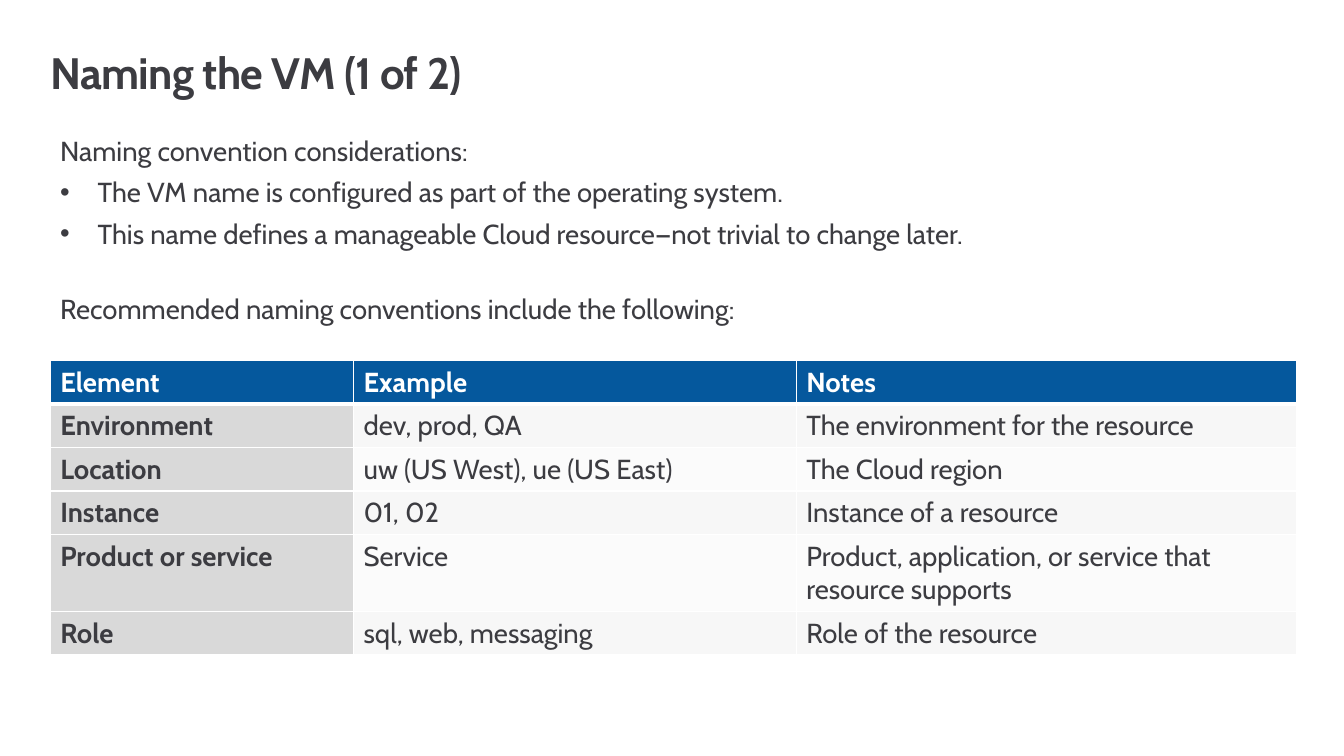
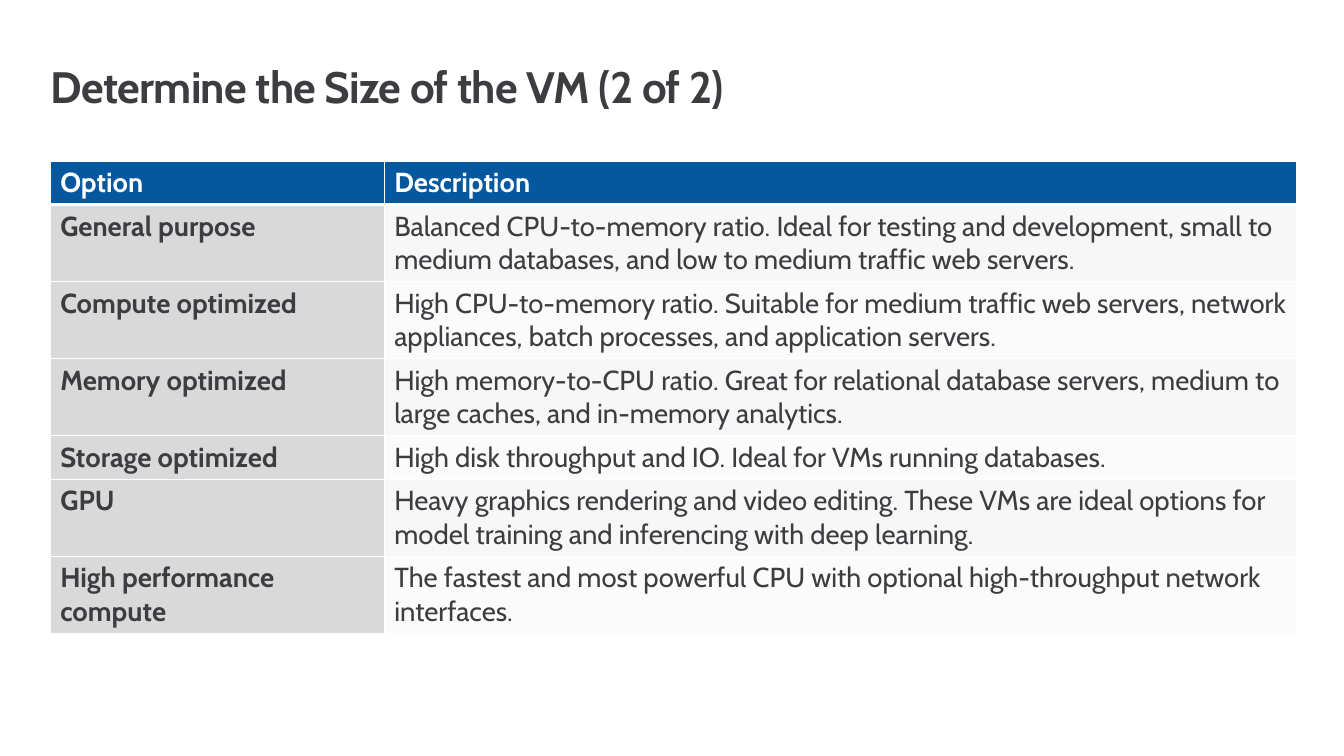
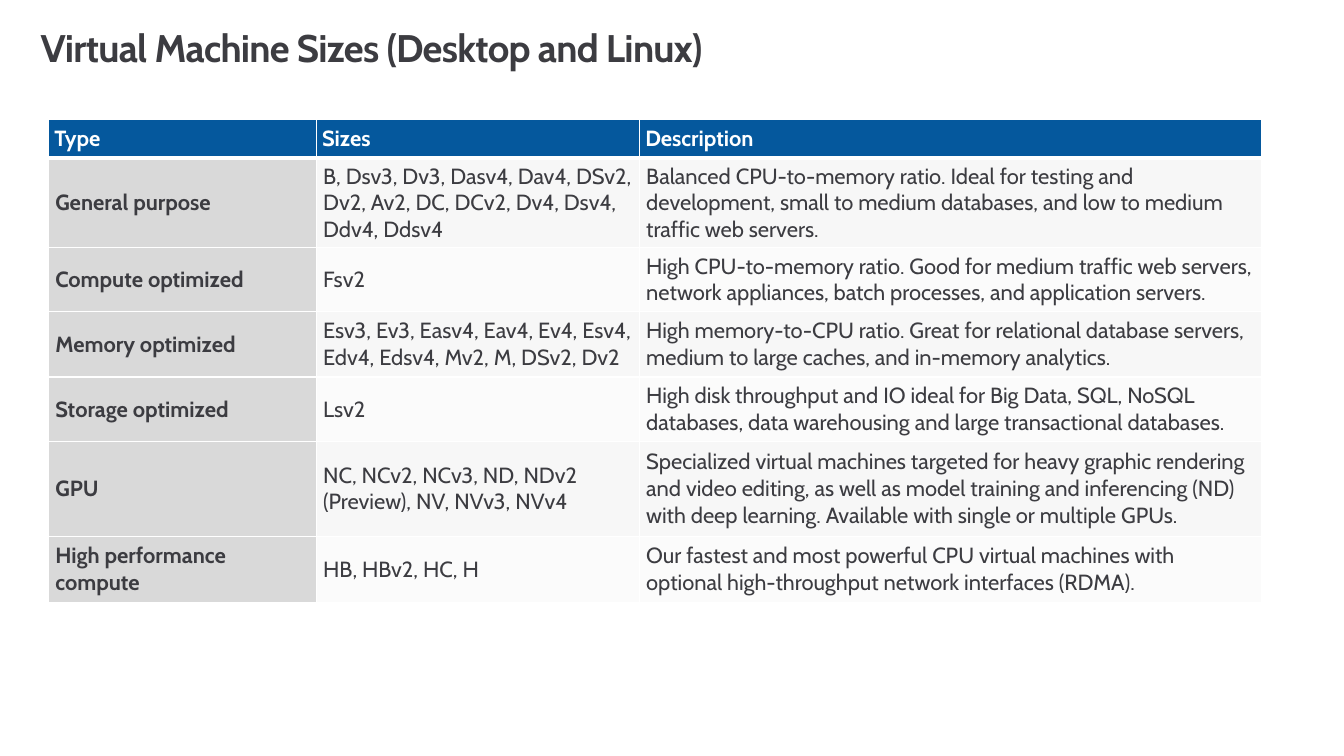
"""Build three slides on naming and sizing virtual machines."""
from dataclasses import dataclass

from lxml import etree
from pptx import Presentation, util as u
from pptx.dml.color import RGBColor
from pptx.enum import text
from pptx.oxml import ns


@dataclass(frozen=True)
class Theme:
    font: str = "Cabin"
    ink: str = "3C3C41"
    paper: str = "FFFFFF"
    header: str = "05589D"
    label: str = "D9D9D9"
    bands: tuple = ("F7F7F7", "FBFBFB")
    body_size: int = 20
    tracking: int = -50
    title_line: int = 32
    rule: int = 1
    header_rule: int = 3


THEME = Theme()
WIDTH, HEIGHT = 13.6, 7.65
MARGIN, CONTENT_WIDTH = 0.51, 12.61
ROOMY = dict(size=20, anchor=text.MSO_ANCHOR.TOP,
             header_inset=(0.1, 0.05), inset=(0.1, 0.05))
COMPACT = dict(size=16, anchor=text.MSO_ANCHOR.MIDDLE,
               header_inset=(0.06, 0.06), inset=(0.07, 0.05))
ONE_LINE, TWO_LINES = 0.44, 0.78

CONSIDERATIONS = [
    ("Naming convention considerations:", False),
    ("The VM name is configured as part of the operating system.", True),
    ("This name defines a manageable Cloud resource—not trivial to change later.", True),
    ("Recommended naming conventions include the following:", False),
]

SLIDES = [
    dict(
        title="Naming the VM (1 of 2)", title_at=(MARGIN, 0.55), title_size=32,
        intro=CONSIDERATIONS, table_at=(MARGIN, 3.65), style=ROOMY,
        columns=(3.07, 4.48, 5.06),
        heights=(ONE_LINE,) * 4 + (TWO_LINES, ONE_LINE),
        rows=[
            ("Element", "Example", "Notes"),
            ("Environment", "dev, prod, QA", "The environment for the resource"),
            ("Location", "uw (US West), ue (US East)", "The Cloud region"),
            ("Instance", "01, 02", "Instance of a resource"),
            ("Product or service", "Service",
             "Product, application, or service that resource supports"),
            ("Role", "sql, web, messaging", "Role of the resource"),
        ]),
    dict(
        title="Determine the Size of the VM (2 of 2)", title_at=(MARGIN, 0.69), title_size=32,
        intro=[], table_at=(MARGIN, 1.63), style=ROOMY,
        columns=(3.38, 9.23),
        heights=(ONE_LINE,) + (TWO_LINES,) * 3 + (ONE_LINE,) + (TWO_LINES,) * 2,
        rows=[
            ("Option", "Description"),
            ("General purpose",
             "Balanced CPU-to-memory ratio. Ideal for testing and development, small to "
             "medium databases, and low to medium traffic web servers."),
            ("Compute optimized",
             "High CPU-to-memory ratio. Suitable for medium traffic web servers, "
             "network appliances, batch processes, and application servers."),
            ("Memory optimized",
             "High memory-to-CPU ratio. Great for relational database servers, medium to "
             "large caches, and in-memory analytics."),
            ("Storage optimized",
             "High disk throughput and IO. Ideal for VMs running databases."),
            ("GPU",
             "Heavy graphics rendering and video editing. These VMs are ideal options for "
             "model training and inferencing with deep learning."),
            ("High performance compute",
             "The fastest and most powerful CPU with optional high-throughput network "
             "interfaces."),
        ]),
    dict(
        title="Virtual Machine Sizes (Desktop and Linux)", title_at=(0.41, 0.27), title_size=28,
        intro=[], table_at=(0.49, 1.21), style=COMPACT,
        columns=(2.71, 3.27, 6.3),
        heights=(0.39, 0.9, 0.65, 0.66, 0.65, 0.96, 0.67),
        rows=[
            ("Type", "Sizes", "Description"),
            ("General purpose",
             "B, Dsv3, Dv3, Dasv4, Dav4, DSv2, Dv2, Av2, DC, DCv2, Dv4, Dsv4, Ddv4, Ddsv4",
             "Balanced CPU-to-memory ratio. Ideal for testing and development, small to "
             "medium databases, and low to medium traffic web servers."),
            ("Compute optimized", "Fsv2",
             "High CPU-to-memory ratio. Good for medium traffic web servers, "
             "network appliances, batch processes, and application servers."),
            ("Memory optimized",
             "Esv3, Ev3, Easv4, Eav4, Ev4, Esv4, Edv4, Edsv4, Mv2, M, DSv2, Dv2",
             "High memory-to-CPU ratio. Great for relational database servers, "
             "medium to large caches, and in-memory analytics."),
            ("Storage optimized", "Lsv2",
             "High disk throughput and IO ideal for Big Data, SQL, NoSQL databases, "
             "data warehousing and large transactional databases."),
            ("GPU", "NC, NCv2, NCv3, ND, NDv2 (Preview), NV, NVv3, NVv4",
             "Specialized virtual machines targeted for heavy graphic rendering and video "
             "editing, as well as model training and inferencing (ND) with deep learning. "
             "Available with single or multiple GPUs."),
            ("High performance compute", "HB, HBv2, HC, H",
             "Our fastest and most powerful CPU virtual machines with optional "
             "high-throughput network interfaces (RDMA)."),
        ]),
]


def style_runs(paragraph, size, color=THEME.ink, bold=False):
    for run in paragraph.runs:
        run.font.name = THEME.font
        run.font.size = u.Pt(size)
        run.font.bold = bold
        run.font.color.rgb = RGBColor.from_string(color)


def place_title(slide, wording, at, size):
    title = slide.shapes.title
    title.left, title.top = map(u.Inches, at)
    title.width, title.height = u.Inches(CONTENT_WIDTH), u.Inches(0.45)
    frame = title.text_frame
    frame.text = wording
    frame.margin_left = frame.margin_right = frame.margin_top = frame.margin_bottom = 0
    frame.word_wrap = True
    frame.auto_size = text.MSO_AUTO_SIZE.NONE
    frame.vertical_anchor = text.MSO_ANCHOR.TOP
    heading = frame.paragraphs[0]
    heading.alignment = text.PP_ALIGN.LEFT
    heading.line_spacing = u.Pt(THEME.title_line)
    style_runs(heading, size, bold=True)
    heading.runs[0].font._element.set("spc", str(THEME.tracking))


def add_bullet(paragraph):
    properties = paragraph._p.get_or_add_pPr()
    indent = u.Inches(0.38)
    properties.set("marL", str(indent))
    properties.set("indent", str(-indent))
    etree.SubElement(properties, ns.qn("a:buFont"), typeface="Arial")
    etree.SubElement(properties, ns.qn("a:buChar"), char="•")


def add_intro(slide, lines):
    box = slide.shapes.add_textbox(*map(u.Inches, (MARGIN, 1.31, 10.24, 2.04)))
    frame = box.text_frame
    frame.word_wrap = True
    frame.text = "\n".join(wording for wording, _ in lines)
    for paragraph, (_, bulleted) in zip(frame.paragraphs, lines):
        paragraph.space_after = u.Pt(6)
        if bulleted:
            add_bullet(paragraph)
        style_runs(paragraph, THEME.body_size)
    frame.paragraphs[-1].space_before = u.Pt(25)


def add_borders(cell, row):
    weights = dict(lnL=THEME.rule, lnR=THEME.rule,
                   lnT=THEME.header_rule if row == 1 else THEME.rule,
                   lnB=THEME.header_rule if row == 0 else THEME.rule)
    properties = cell._tc.get_or_add_tcPr()
    for side, weight in weights.items():
        line = etree.SubElement(properties, ns.qn("a:" + side), w=str(u.Pt(weight)))
        fill = etree.SubElement(line, ns.qn("a:solidFill"))
        etree.SubElement(fill, ns.qn("a:srgbClr"), val=THEME.paper)


def format_cell(cell, row, column, style):
    heading = row == 0
    across, down = style["header_inset" if heading else "inset"]
    cell.margin_left = cell.margin_right = u.Inches(across)
    cell.margin_top = cell.margin_bottom = u.Inches(down)
    cell.vertical_anchor = style["anchor"]
    add_borders(cell, row)
    if heading:
        shade = THEME.header
    elif column == 0:
        shade = THEME.label
    else:
        shade = THEME.bands[(row - 1) % 2]
    cell.fill.solid()
    cell.fill.fore_color.rgb = RGBColor.from_string(shade)
    style_runs(cell.text_frame.paragraphs[0], style["size"],
               THEME.paper if heading else THEME.ink, heading or column == 0)


def add_grid(slide, at, columns, heights, rows, style):
    extent = (*at, sum(columns), sum(heights))
    table = slide.shapes.add_table(len(rows), len(columns), *map(u.Inches, extent)).table
    table.horz_banding = False
    for column, width in zip(table.columns, columns):
        column.width = u.Inches(width)
    for r, (height, entries) in enumerate(zip(heights, rows)):
        table.rows[r].height = u.Inches(height)
        for c, entry in enumerate(entries):
            cell = table.cell(r, c)
            cell.text = entry
            format_cell(cell, r, c, style)


def main():
    deck = Presentation()
    deck.slide_width, deck.slide_height = u.Inches(WIDTH), u.Inches(HEIGHT)
    for content in SLIDES:
        slide = deck.slides.add_slide(deck.slide_layouts[5])
        place_title(slide, content["title"], content["title_at"], content["title_size"])
        add_grid(slide, content["table_at"], content["columns"], content["heights"],
                 content["rows"], content["style"])
        if content["intro"]:
            add_intro(slide, content["intro"])
    deck.save("out.pptx")


if __name__ == "__main__":
    main()
